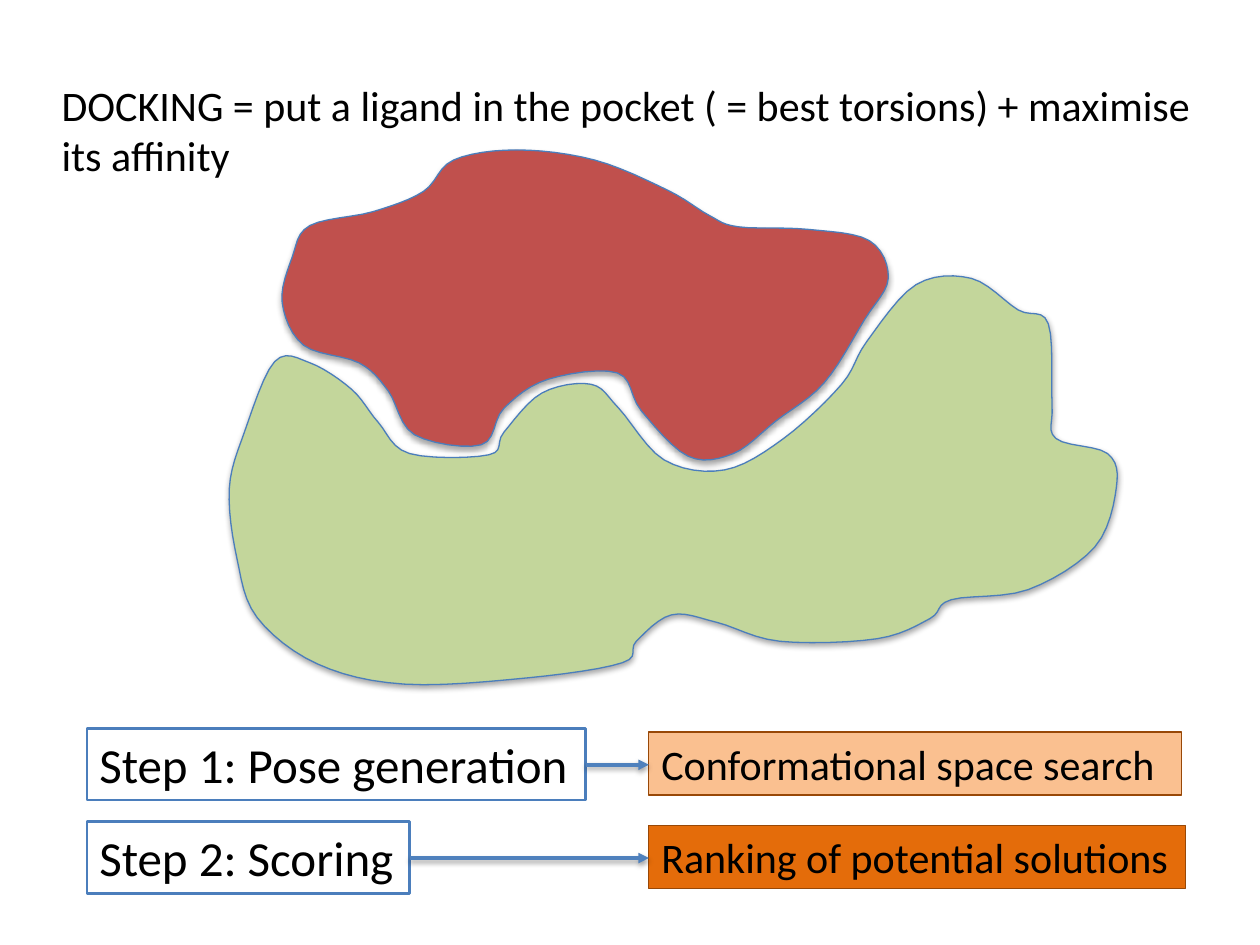
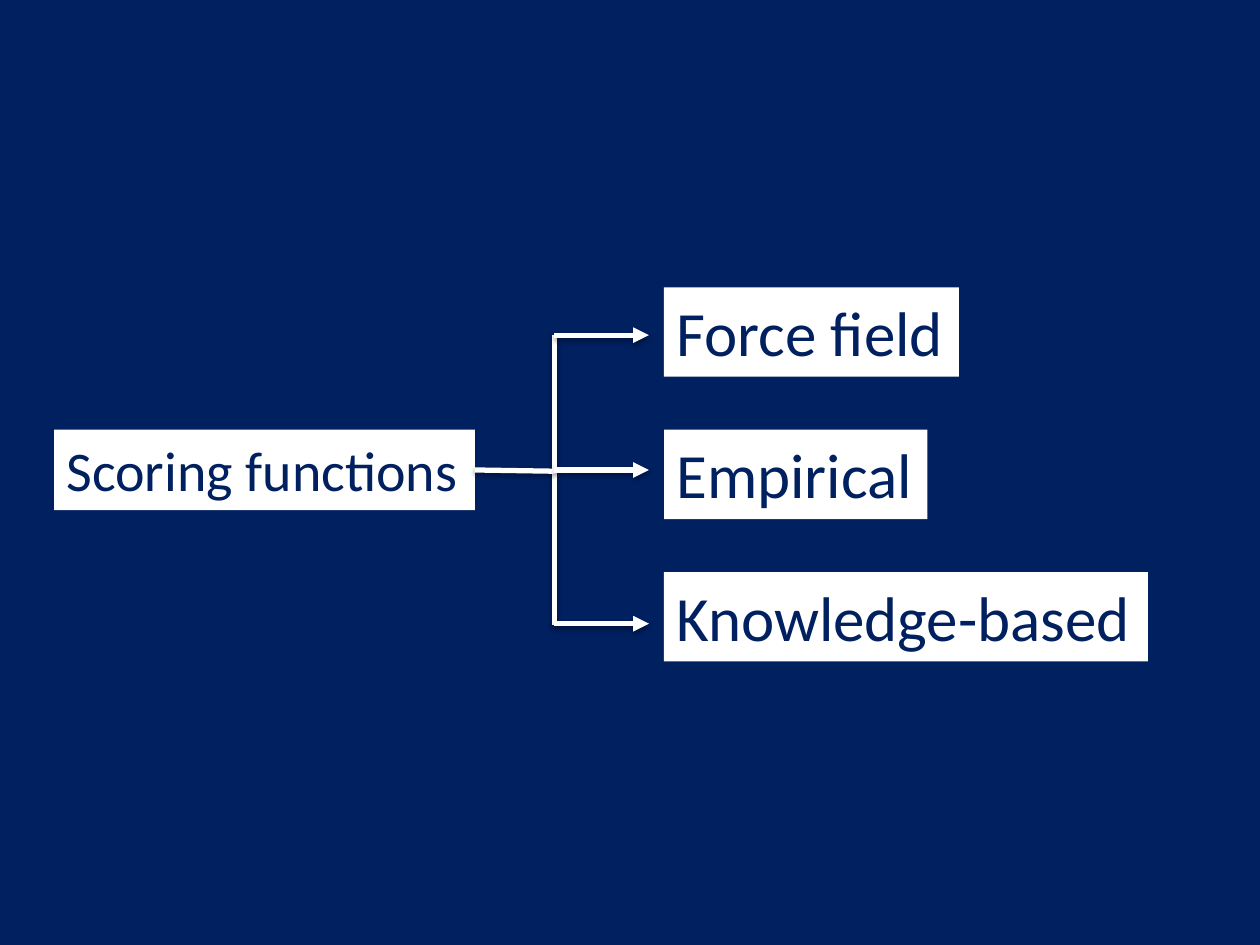
from lxml.etree import SubElement
from pptx import Presentation
from pptx.dml.color import RGBColor
from pptx.enum.shapes import MSO_CONNECTOR
from pptx.enum.text import MSO_AUTO_SIZE
from pptx.oxml.ns import qn
from pptx.util import Inches, Pt

FONT = "Calibri"
BLACK, WHITE, NAVY = "000000", "FFFFFF", "002060"
OUTLINE_BLUE, ARROW_BLUE = "4B7EBC", "4F81BD"
GREEN, RED = "C3D69B", "C0504D"
PEACH, ORANGE, BROWN = "FAC090", "E46C0A", "984807"
CURVE_STEPS = 6

RECEPTOR = [
    (2.18, 2.87), (1.94, 3.43), (1.82, 3.88), (1.88, 4.43), (2.04, 4.9),
    (2.52, 5.27), (3.21, 5.43), (4.19, 5.38), (4.94, 5.26), (5.05, 5.09),
    (5.33, 4.88), (5.69, 4.94), (6.19, 5.09), (6.96, 5.07), (7.38, 4.91),
    (7.55, 4.76), (8.16, 4.68), (8.69, 4.34), (8.86, 3.87), (8.79, 3.6),
    (8.38, 3.48), (8.35, 3.21), (8.32, 2.57), (8.08, 2.46), (7.71, 2.21),
    (7.27, 2.26), (6.88, 2.71), (6.68, 3.05), (6.22, 3.48), (5.75, 3.73),
    (5.27, 3.65), (4.91, 3.24), (4.69, 3.05), (4.3, 3.12), (4, 3.43),
    (3.88, 3.61), (3.25, 3.6), (3, 3.35), (2.79, 3.09), (2.46, 2.88),
]

LIGAND = [
    (2.41, 2.74), (2.85, 2.88), (3.08, 3.1), (3.29, 3.45), (3.82, 3.53),
    (4, 3.24), (4.35, 3.01), (4.9, 2.96), (5.09, 3.26), (5.46, 3.62),
    (5.82, 3.6), (6.16, 3.34), (6.54, 3.04), (6.86, 2.54), (7.05, 2.21),
    (6.9, 1.91), (6.41, 1.82), (5.86, 1.8), (5.63, 1.71), (5.3, 1.51),
    (4.72, 1.27), (4.1, 1.19), (3.6, 1.27), (3.36, 1.52), (2.96, 1.68),
    (2.46, 1.79), (2.32, 2.04), (2.24, 2.4),
]


def color(value):
    """Return the RGB colour for a hex string."""
    return RGBColor.from_string(value)


def smooth_outline(points):
    """Return a closed Catmull-Rom curve through the points."""
    curve = []
    for index, start in enumerate(points):
        before, end = points[index - 1], points[(index + 1) % len(points)]
        after = points[(index + 2) % len(points)]
        for step in range(CURVE_STEPS):
            t = step / CURVE_STEPS
            curve.append(tuple(
                Inches(b + t / 2 * (c - a + t * (2 * a - 5 * b + 4 * c - d + t * (3 * (b - c) + d - a))))
                for a, b, c, d in zip(before, start, end, after)))
    return curve


class Deck:
    """Hold the presentation style and the current slide."""

    def __init__(self):
        """Start an empty 4:3 presentation."""
        self.presentation = Presentation()
        self.presentation.slide_width = Inches(10)
        self.presentation.slide_height = Inches(7.5)
        self.page = None

    def add_page(self, background):
        """Add a blank slide with a solid background."""
        self.page = self.presentation.slides.add_slide(self.presentation.slide_layouts[6])
        fill = self.page.background.fill
        fill.solid()
        fill.fore_color.rgb = color(background)

    def set_line(self, line, line_color, width):
        """Colour a line and set its width in points."""
        line.color.rgb = color(line_color)
        line.width = Pt(width)

    def add_shadow(self, item, opacity, distance):
        """Drop a soft black shadow straight below an item."""
        effects = SubElement(item._element.spPr, qn("a:effectLst"))
        shadow = SubElement(
            effects, qn("a:outerShdw"), blurRad=str(Pt(3.1)), dist=str(Pt(distance)),
            dir="5400000", rotWithShape="0")
        black = SubElement(shadow, qn("a:srgbClr"), val=BLACK)
        SubElement(black, qn("a:alpha"), val=str(opacity * 1000))

    def add_blob(self, points, fill_color):
        """Draw a closed molecule outline."""
        curve = smooth_outline(points)
        builder = self.page.shapes.build_freeform(*curve[0])
        builder.add_line_segments(curve[1:], close=True)
        blob = builder.convert_to_shape()
        blob.fill.solid()
        blob.fill.fore_color.rgb = color(fill_color)
        self.set_line(blob.line, OUTLINE_BLUE, 0.75)
        self.add_shadow(blob, 35, 1.8)

    def add_text(self, text, place, size, text_color=BLACK, fill_color=None, border=None, wrap=False):
        """Add a text box with an optional fill and (colour, width) border."""
        box = self.page.shapes.add_textbox(*map(Inches, place))
        if fill_color:
            box.fill.solid()
            box.fill.fore_color.rgb = color(fill_color)
        if border:
            self.set_line(box.line, *border)
        frame = box.text_frame
        frame.text = text
        frame.word_wrap = wrap
        frame.auto_size = MSO_AUTO_SIZE.SHAPE_TO_FIT_TEXT
        font = frame.paragraphs[0].runs[0].font
        font.name = FONT
        font.size = Pt(size)
        font.color.rgb = color(text_color)

    def add_line(self, start, end, line_color, width, arrow=False):
        """Draw a straight shadowed line, with an arrowhead if asked."""
        connector = self.page.shapes.add_connector(
            MSO_CONNECTOR.STRAIGHT, *map(Inches, start + end))
        self.set_line(connector.line, line_color, width)
        if arrow:
            SubElement(connector.line._get_or_add_ln(), qn("a:tailEnd"), type="triangle")
        self.add_shadow(connector, 38, 1.6)


def build_docking(deck):
    """Build the docking slide."""
    deck.add_page(WHITE)
    deck.add_blob(RECEPTOR, GREEN)
    deck.add_blob(LIGAND, RED)
    deck.add_text("DOCKING = put a ligand in the pocket ( = best torsions) + maximise its affinity",
                  (0.39, 0.58, 9.27, 0.91), 24, wrap=True)
    steps = [
        ("Step 1: Pose generation", 3.96, "Conformational space search", 4.23, PEACH),
        ("Step 2: Scoring", 2.56, "Ranking of potential solutions", 4.26, ORANGE),
    ]
    step_left, task_left = 0.69, 5.15
    for index, (step, step_width, task, task_width, task_fill) in enumerate(steps):
        top = 5.78 + 0.74 * index
        deck.add_text(step, (step_left, top, step_width, 0.57), 28, border=(OUTLINE_BLUE, 1.5))
        deck.add_text(task, (task_left, top + 0.03, task_width, 0.5), 24,
                      fill_color=task_fill, border=(BROWN, 0.75))
        middle = top + 0.29
        deck.add_line((step_left + step_width, middle), (task_left, middle), ARROW_BLUE, 2, arrow=True)


def build_scoring(deck):
    """Build the tree of scoring functions."""
    deck.add_page(NAVY)
    deck.add_text("Scoring functions", (0.43, 3.41, 3.34, 0.64), 32, NAVY, WHITE)
    kinds = [("Force field", 2.34), ("Empirical", 2.09), ("Knowledge-based", 3.84)]
    for index, (kind, width) in enumerate(kinds):
        deck.add_text(kind, (5.27, 2.28 + 1.13 * index, width, 0.71), 36, NAVY, WHITE)
    trunk = 4.4
    deck.add_line((trunk, 2.66), (trunk, 4.96), WHITE, 3)
    deck.add_line((3.77, 3.73), (trunk, 3.74), WHITE, 3)
    for height in (2.66, 3.73, 4.95):
        deck.add_line((trunk, height), (trunk + 0.75, height), WHITE, 3, arrow=True)


def main():
    """Build and save the presentation."""
    deck = Deck()
    build_docking(deck)
    build_scoring(deck)
    deck.presentation.save("out.pptx")


if __name__ == "__main__":
    main()
